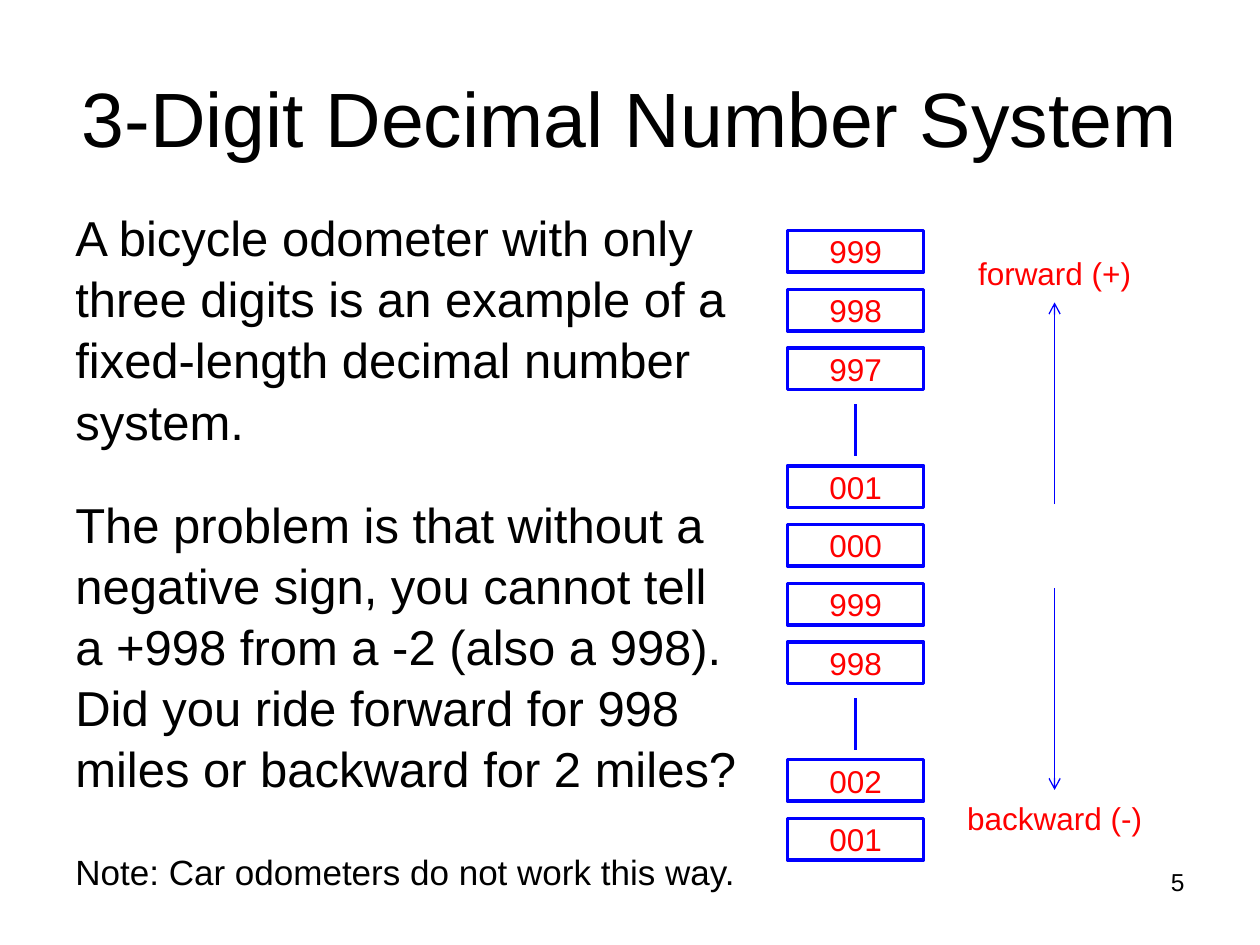
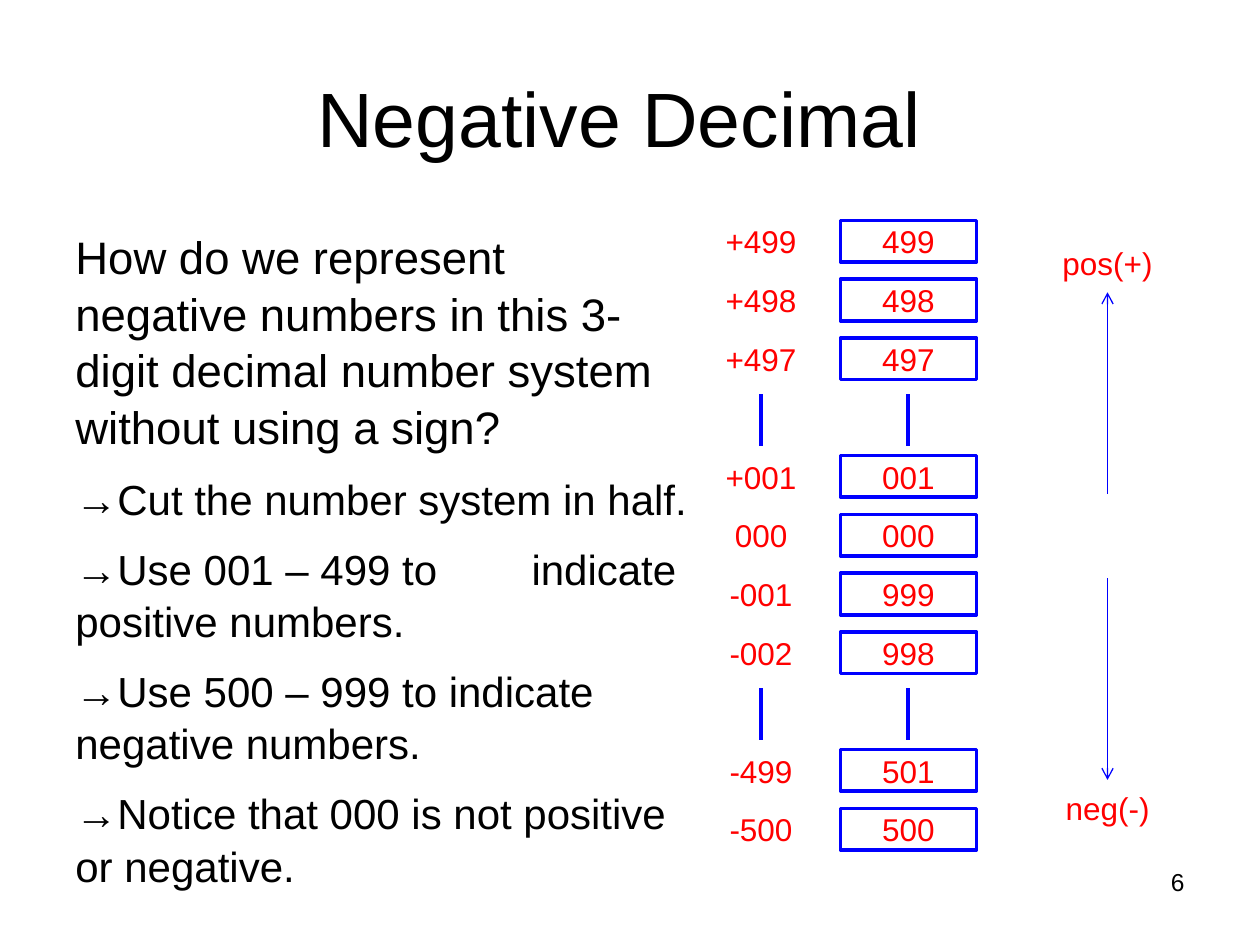
from lxml import etree
from pptx import Presentation
from pptx.dml.color import RGBColor
from pptx.enum.shapes import MSO_CONNECTOR as Connector, MSO_SHAPE as Shape
from pptx.enum.text import MSO_ANCHOR as Anchor, PP_ALIGN as Align
from pptx.oxml.ns import qn
from pptx.util import Inches, Pt

# Content: body paragraphs are (text, size, space before, space after);
# None in a number column stands for the values left out
SLIDES = [
    {
        "title": "3-Digit Decimal Number System", "title_box": (0, 0.3, 10, 1.25),
        "body_box": (0.5, 1.58, 5.5, 5.67),
        "body": [
            ("A bicycle odometer with only three digits is an example of a "
             "fixed-length decimal number system.", 28, 0, 24),
            ("The problem is that without a negative sign, you cannot tell a +998 "
             "from a -2 (also a 998).  Did you ride forward for 998 miles or "
             "backward for 2 miles?", 28, 0, 24),
            ("Note: Car odometers do not work this way.", 20, 5, 0),
        ],
        "number": "5",
        "scale_at": (6.25, 1.83),
        "boxes": ["999", "998", "997", None, "001", "000", "999", "998", None, "002", "001"],
        "signed": [],
        "directions": ("forward (+)", "backward (-)"),
    },
    {
        "title": "Negative Decimal ", "title_box": (0.5, 0.3, 9, 1.25),
        "body_box": (0.5, 1.75, 5.08, 5.25),
        "body": [
            ("How do we represent  negative numbers in this 3-digit decimal number "
             "system without using a sign?", 26, 0, 10),
            ("→Cut the number system in half.", 24, 0, 10),
            ("→Use 001 – 499 to \tindicate positive numbers.", 24, 0, 10),
            ("→Use 500 – 999 to indicate negative numbers.", 24, 0, 10),
            ("→Notice that 000 is not positive or negative.", 24, 0, 10),
        ],
        "number": "6",
        "scale_at": (6.67, 1.75),
        "boxes": ["499", "498", "497", None, "001", "000", "999", "998", None, "501", "500"],
        "signed": ["+499", "+498", "+497", None, "+001", "000", "-001", "-002", None,
                   "-499", "-500"],
        "directions": ("pos(+)", "neg(-)"),
    },
]

# Shared style
FONT = "Arial"
BLACK = RGBColor(0, 0, 0)
BLUE = RGBColor(0, 0, 255)
RED = RGBColor(255, 0, 0)
NUMBER_BOX = (7.17, 6.83, 2.33, 0.52)
TAB_STOP = 3.62

# Number scale, in inches
CELL_WIDTH, CELL_HEIGHT = 1.08, 0.33
ROW_PITCH = 1.4 / 3
GAP_LENGTH = 0.41
SIGNED_OFFSET = -1.17
ARROW_OFFSET = 2.12
LABEL_WIDTH = 1.75


def style(paragraph, size, color, align):
    paragraph.alignment = align
    paragraph.font.name = FONT
    paragraph.font.size = Pt(size)
    paragraph.font.color.rgb = color


def add_text(slide, box, text, size, color=BLACK, align=Align.CENTER, anchor=Anchor.MIDDLE):
    frame = slide.shapes.add_textbox(*map(Inches, box)).text_frame
    frame.word_wrap = True
    frame.vertical_anchor = anchor
    frame.text = text
    style(frame.paragraphs[0], size, color, align)


def add_body(slide, box, paragraphs):
    frame = slide.shapes.add_textbox(*map(Inches, box)).text_frame
    frame.word_wrap = True
    for index, (text, size, before, after) in enumerate(paragraphs):
        paragraph = frame.add_paragraph() if index else frame.paragraphs[0]
        paragraph.text = text
        style(paragraph, size, BLACK, Align.LEFT)
        paragraph.line_spacing = 1.04
        paragraph.space_before, paragraph.space_after = Pt(before), Pt(after)
        if "\t" in text:
            tabs = etree.SubElement(paragraph._p.get_or_add_pPr(), qn("a:tabLst"))
            etree.SubElement(tabs, qn("a:tab"), pos=str(Inches(TAB_STOP)), algn="l")


def add_cell(slide, box, text):
    cell = slide.shapes.add_shape(Shape.RECTANGLE, *map(Inches, box))
    cell.shadow.inherit = False
    cell.fill.background()
    cell.line.color.rgb = BLUE
    cell.line.width = Pt(2)
    cell.text_frame.vertical_anchor = Anchor.MIDDLE
    cell.text_frame.text = text
    style(cell.text_frame.paragraphs[0], 18, RED, Align.CENTER)


def add_vertical(slide, x, start, end, width, arrow=False):
    line = slide.shapes.add_connector(Connector.STRAIGHT, *map(Inches, (x, start, x, end)))
    line.line.color.rgb = BLUE
    line.line.width = Pt(width)
    if arrow:
        etree.SubElement(line.line._get_or_add_ln(), qn("a:tailEnd"), type="arrow")
    etree.SubElement(line._element.spPr, qn("a:effectLst"))


def add_column(slide, left, top, values, boxed):
    for row, value in enumerate(values):
        y = top + row * ROW_PITCH
        box = (left, y, CELL_WIDTH, CELL_HEIGHT)
        if value is None:
            add_vertical(slide, left + CELL_WIDTH / 2, y - 0.02, y - 0.02 + GAP_LENGTH, 2.25)
        elif boxed:
            add_cell(slide, box, value)
        else:
            add_text(slide, box, value, 18, RED)


def add_directions(slide, left, top, labels):
    x = left + ARROW_OFFSET
    arrows = ((2.17, 0.57), (2.84, 4.44))
    for label, label_top, (start, end) in zip(labels, (0.17, 4.5), arrows):
        add_vertical(slide, x, top + start, top + end, 0.75, arrow=True)
        add_text(slide, (x - LABEL_WIDTH / 2, top + label_top, LABEL_WIDTH, CELL_HEIGHT),
                 label, 18, RED)


def build_slide(presentation, content):
    slide = presentation.slides.add_slide(presentation.slide_layouts[6])
    add_text(slide, content["title_box"], content["title"], 44)
    add_body(slide, content["body_box"], content["body"])
    add_text(slide, NUMBER_BOX, content["number"], 14, align=Align.RIGHT, anchor=Anchor.TOP)
    left, top = content["scale_at"]
    add_column(slide, left, top, content["boxes"], boxed=True)
    add_column(slide, left + SIGNED_OFFSET, top, content["signed"], boxed=False)
    add_directions(slide, left, top, content["directions"])


def main():
    presentation = Presentation()
    presentation.slide_width, presentation.slide_height = Inches(10), Inches(7.5)
    for content in SLIDES:
        build_slide(presentation, content)
    presentation.save("out.pptx")


if __name__ == "__main__":
    main()
